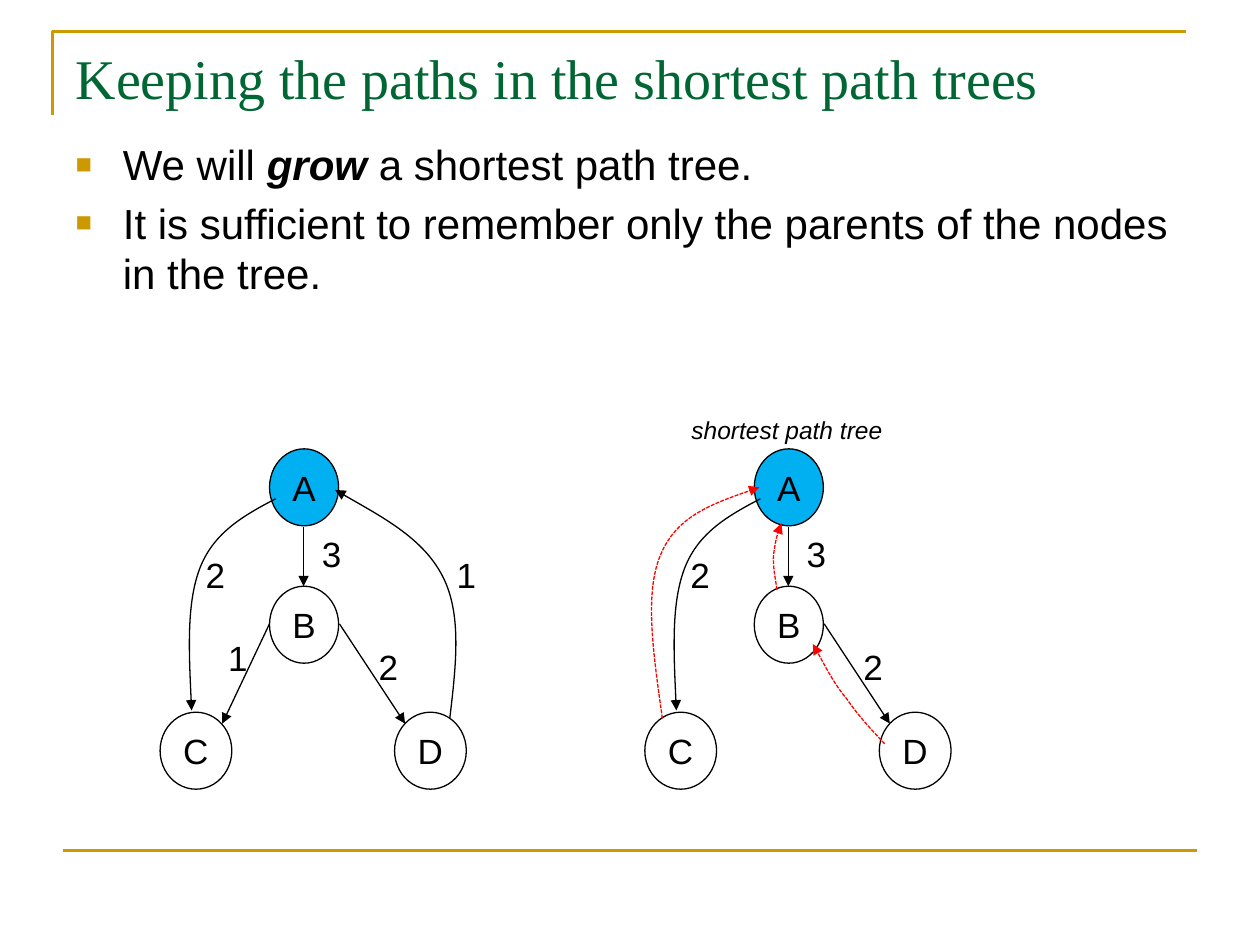
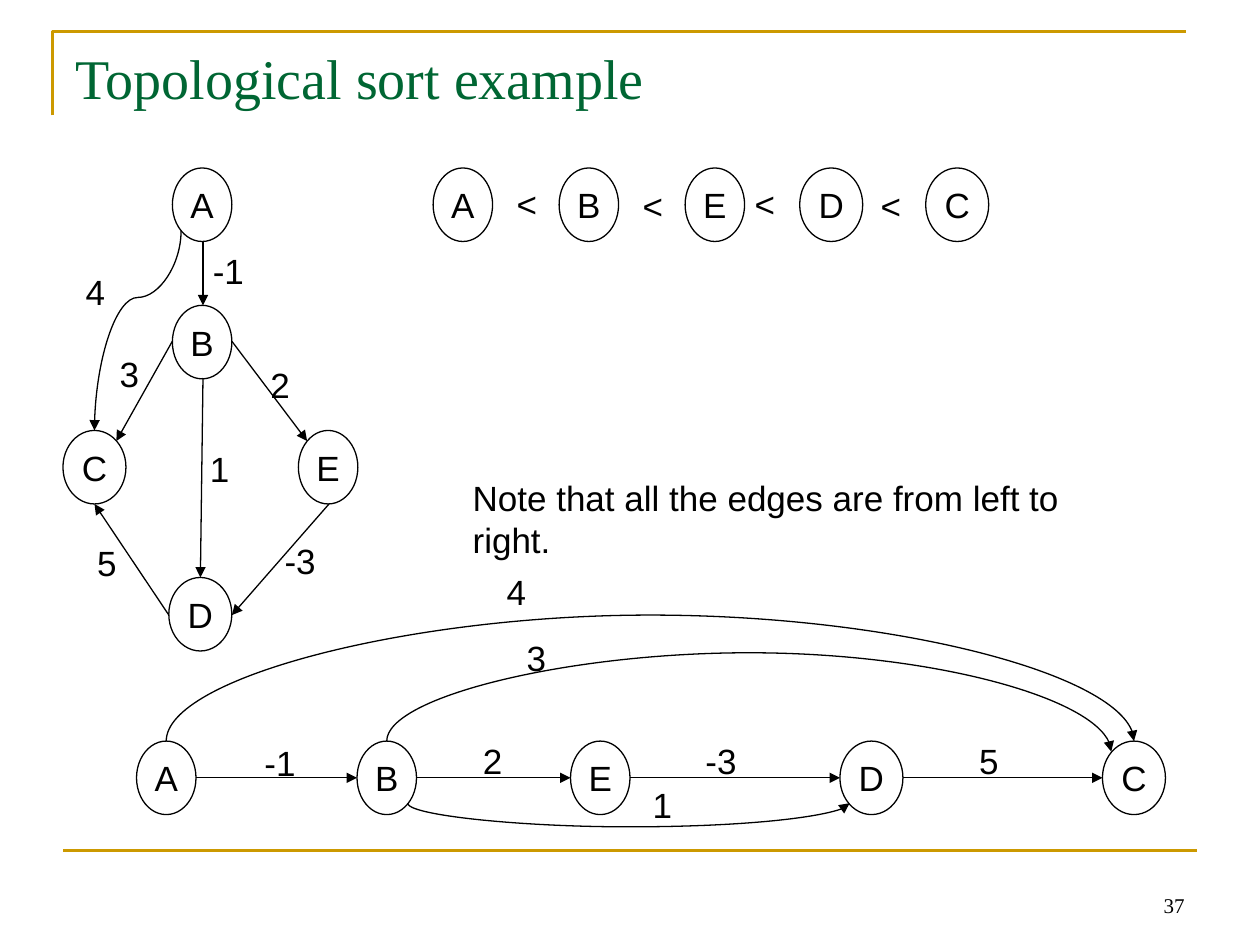
import pptx
import pptx.dml.color
import pptx.enum.dml
import pptx.enum.shapes
import pptx.enum.text
import pptx.oxml
import pptx.oxml.ns
import pptx.util

Pt = pptx.util.Pt
qn = pptx.oxml.ns.qn
ALIGN = pptx.enum.text.PP_ALIGN
ANCHOR = pptx.enum.text.MSO_ANCHOR

GOLD, GREEN, BLACK, BLUE, RED = "CC9900", "006633", "000000", "00B0F0", "FF0000"
SANS, SERIF = "Arial", "Times New Roman"


def color(hex_string):
    return pptx.dml.color.RGBColor.from_string(hex_string)


def add_child(parent, tag, **attributes):
    child = pptx.oxml.ns.nsdecls("a")
    element = pptx.oxml.parse_xml(f"<a:{tag} {child}/>")
    for name, value in attributes.items():
        element.set(name, str(value))
    parent.append(element)
    return element


def write(paragraph, text, size=20, font=SANS, ink=BLACK, bold=False, italic=False, align=ALIGN.LEFT):
    paragraph.alignment = align
    run = paragraph.add_run()
    run.text = text
    run.font.size = Pt(size)
    run.font.name = font
    run.font.bold = bold
    run.font.italic = italic
    run.font.color.rgb = color(ink)


def add_text(slide, box, text, wrap=False, anchor=ANCHOR.TOP, **text_format):
    frame = slide.shapes.add_textbox(*map(Pt, box)).text_frame
    frame.word_wrap = wrap
    frame.vertical_anchor = anchor
    write(frame.paragraphs[0], text, **text_format)


def add_label(slide, origin, center, top, text):
    box = (origin[0] + center - 16, origin[1] + top, 32, 31)
    add_text(slide, box, text, align=ALIGN.CENTER)


def add_node(slide, origin, name, left, top, width, height, fill=None):
    oval = pptx.enum.shapes.MSO_SHAPE.OVAL
    node = slide.shapes.add_shape(oval, Pt(origin[0] + left), Pt(origin[1] + top), Pt(width), Pt(height))
    node.shadow.inherit = False
    if fill:
        node.fill.solid()
        node.fill.fore_color.rgb = color(fill)
    else:
        node.fill.background()
    node.line.color.rgb = color(BLACK)
    node.line.width = Pt(0.75)
    frame = node.text_frame
    frame.word_wrap = False
    frame.vertical_anchor = ANCHOR.MIDDLE
    frame.margin_left = frame.margin_right = frame.margin_top = frame.margin_bottom = 0
    write(frame.paragraphs[0], name, align=ALIGN.CENTER)


def style_line(shape, ink=BLACK, width=0.75, dashed=False, arrow=True):
    shape.line.color.rgb = color(ink)
    shape.line.width = Pt(width)
    if dashed:
        shape.line.dash_style = pptx.enum.dml.MSO_LINE.SQUARE_DOT
    if arrow:
        add_child(shape.element.find(".//" + qn("a:ln")), "tailEnd", type="triangle")


def add_line(slide, origin, start, end, **line_format):
    points = [Pt(origin[axis] + point[axis]) for point in (start, end) for axis in (0, 1)]
    line = slide.shapes.add_connector(pptx.enum.shapes.MSO_CONNECTOR.STRAIGHT, *points)
    style_line(line, **line_format)
    add_child(line.element.spPr, "effectLst")
    return line


def add_outline(slide, origin, points, **line_format):
    places = [(Pt(origin[0] + x), Pt(origin[1] + y)) for x, y in points]
    builder = slide.shapes.build_freeform(*places[0])
    builder.add_line_segments(places[1:], close=False)
    outline = builder.convert_to_shape()
    outline.fill.background()
    outline.shadow.inherit = False
    style_line(outline, **line_format)
    return outline


def add_curve(slide, origin, points, **line_format):
    curve = add_outline(slide, origin, points[::3], **line_format)
    segments = list(curve.element.iter(qn("a:lnTo")))
    for index, segment in enumerate(segments):
        bend = pptx.oxml.parse_xml(f"<a:cubicBezTo {pptx.oxml.ns.nsdecls('a')}/>")
        for x, y in points[3 * index + 1:3 * index + 4]:
            add_child(bend, "pt", x=Pt(origin[0] + x) - curve.left, y=Pt(origin[1] + y) - curve.top)
        segment.getparent().replace(segment, bend)


def add_bend(slide, origin, start, end, level):
    (x0, y0), (x1, y1) = start, end
    middle = (x0 + x1) / 2
    add_curve(slide, origin, [
        start, (x0, (y0 + level) / 2), ((x0 + middle) / 2, level), (middle, level),
        ((middle + x1) / 2, level), (x1, (level + y1) / 2), end])


def add_frame_to_master(presentation, slide):
    corner = add_outline(slide, (30, 18), [(0, 48), (0, 0), (648, 0)], ink=GOLD, width=1.5, arrow=False)
    rule = add_line(slide, (36, 486), (0, 0), (648, 0), ink=GOLD, width=1.5, arrow=False)
    for shape in (corner, rule):
        presentation.slide_master.shapes.element.append(shape.element)


def place(placeholder, box):
    placeholder.left, placeholder.top, placeholder.width, placeholder.height = map(Pt, box)
    frame = placeholder.text_frame
    frame.auto_size = pptx.enum.text.MSO_AUTO_SIZE.NONE
    frame.vertical_anchor = ANCHOR.TOP
    return frame


def add_slide(presentation, layout, title):
    slide = presentation.slides.add_slide(presentation.slide_layouts[layout])
    frame = place(slide.shapes.title, (36, 21.5, 648, 50.5))
    write(frame.paragraphs[0], title, size=32, font=SERIF, ink=GREEN)
    return slide


def fill_bullets(placeholder, box, items):
    frame = place(placeholder, box)
    for index, runs in enumerate(items):
        paragraph = frame.add_paragraph() if index else frame.paragraphs[0]
        for text, text_format in runs:
            write(paragraph, text, size=24, **text_format)
        properties = paragraph.runs[0]._r.getparent().get_or_add_pPr()
        properties.set("marL", str(Pt(27)))
        properties.set("indent", str(-Pt(27)))
        add_child(add_child(properties, "buClr"), "srgbClr", val=GOLD)
        add_child(properties, "buSzPct", val=65000)
        add_child(properties, "buFont", typeface=SANS)
        add_child(properties, "buChar", char="■")


def draw_weighted_tree(slide, origin):
    for name, left, top, width, fill in (
            ("A", 62.5, 0, 39.5, BLUE), ("B", 62.5, 78.5, 39.5, None),
            ("C", 0, 150.5, 41, None), ("D", 134, 150.5, 41, None)):
        add_node(slide, origin, name, left, top, width, 44, fill)
    add_line(slide, origin, (82, 44.5), (82, 78.5))
    add_line(slide, origin, (102.5, 100), (140, 157))
    add_curve(slide, origin, [(66, 28.5), (48, 38), (31, 47.5), (23, 67.5),
                              (15, 87.5), (16.5, 118.5), (18, 149.5)])
    for center, top, weight in ((98, 44.5, "3"), (31.5, 56, "2"), (130.5, 109, "2")):
        add_label(slide, origin, center, top, weight)


def draw_extra_edges(slide, origin):
    add_line(slide, origin, (62.5, 100), (35.5, 157))
    add_curve(slide, origin, [(165.5, 154), (169, 124.5), (172.5, 95.5), (162, 74),
                              (151, 51.5), (125, 38), (100, 23.5)])
    add_label(slide, origin, 44.5, 103.5, "1")
    add_label(slide, origin, 175, 56, "1")


def draw_parent_links(slide, origin):
    for points in (
            [(10, 154), (5, 118), (-0.5, 82.5), (9, 60.5), (18, 38.5), (42, 30), (65.5, 22)],
            [(75.5, 80.5), (74.5, 73.5), (73, 67), (73.5, 60.5), (74.5, 54), (75.5, 48), (78, 42.5)],
            [(137, 168.5), (129.5, 160.5), (122, 152.5), (115.5, 143), (108, 134), (102.5, 123), (96, 111.5)]):
        add_curve(slide, origin, points, ink=RED, dashed=True)
    add_text(slide, (origin[0] + 19.5, origin[1] - 23, 128, 24.5), "shortest path tree", size=14, italic=True)


def draw_unsorted_graph(slide, origin):
    for name, left, top, width in (("A", 62.5, 0, 34), ("B", 62.5, 78.5, 34), ("C", 0, 150, 36),
                                   ("E", 134.5, 150, 34), ("D", 60.5, 234, 36)):
        add_node(slide, origin, name, left, top, width, 42)
    for start, end in (((80, 42), (80, 78.5)), ((62.5, 99), (30.5, 156)), ((96.5, 99), (139.5, 156)),
                       ((152, 192), (96.5, 255.5)), ((60.5, 255.5), (18, 192)), ((80, 120), (78.5, 234))):
        add_line(slide, origin, start, end)
    add_bend(slide, origin, (67.5, 36), (18, 150), 74)
    for center, top, weight in ((94.5, 43, "-1"), (18.5, 55, "4"), (38, 102, "3"), (89.5, 156, "1"),
                                (124, 108, "2"), (135.5, 208.5, "-3"), (25, 210, "5")):
        add_label(slide, origin, center, top, weight)


def draw_node_row(slide, origin, lefts):
    row = list(zip("ABEDC", lefts, (34, 34, 34, 36, 36)))
    for name, left, width in row:
        add_node(slide, origin, name, left, 0, width, 42)
    return [(left + width, following) for (_, left, width), following in zip(row, lefts[1:])]


def draw_order(slide, origin):
    draw_node_row(slide, origin, (0, 72, 144, 209.5, 281.5))
    for center, top in ((53.5, 5), (125.5, 6), (189.5, 5), (261.5, 6)):
        add_label(slide, origin, center, top, "<")


def draw_sorted_graph(slide, origin):
    for left, right in draw_node_row(slide, origin, (0, 126, 248, 402, 552)):
        add_line(slide, origin, (left, 21), (right, 21))
    add_bend(slide, origin, (17, 0), (570, 0), -72)
    add_bend(slide, origin, (143, 0), (557, 6), -50.5)
    add_bend(slide, origin, (155, 35.5), (407.5, 35.5), 49)
    for center, top, weight in ((82, -3.5, "-1"), (203.5, -4.5, "2"), (334, -4.5, "-3"), (487, -4.5, "5"),
                                (217, -101, "4"), (228.5, -63.5, "3"), (300.5, 20.5, "1")):
        add_label(slide, origin, center, top, weight)


def build_tree_slide(presentation):
    slide = add_slide(presentation, 1, "Keeping the paths in the shortest path trees")
    add_frame_to_master(presentation, slide)
    fill_bullets(slide.placeholders[1], (36, 75.5, 648, 356.5), [
        [("We will ", {}), ("grow ", {"bold": True, "italic": True}), ("a shortest path tree.", {})],
        [("It is sufficient to remember only the parents of the nodes in the tree.", {})]])
    graph, tree = (91.5, 256.5), (368.5, 256.5)
    draw_weighted_tree(slide, graph)
    draw_extra_edges(slide, graph)
    draw_weighted_tree(slide, tree)
    draw_parent_links(slide, tree)


def build_sort_slide(presentation):
    slide = add_slide(presentation, 5, "Topological sort example")
    draw_unsorted_graph(slide, (36, 96))
    draw_order(slide, (247.5, 96))
    draw_sorted_graph(slide, (78, 423.5))
    add_text(slide, (263, 268.5, 360, 55), "Note that all the edges are from left to right.", wrap=True)
    add_text(slide, (516, 492, 168, 36), "37", wrap=True, anchor=ANCHOR.BOTTOM,
             size=12, font=SERIF, align=ALIGN.RIGHT)


def main():
    presentation = pptx.Presentation()
    presentation.slide_width, presentation.slide_height = Pt(720), Pt(540)
    build_tree_slide(presentation)
    build_sort_slide(presentation)
    presentation.save("out.pptx")


if __name__ == "__main__":
    main()
